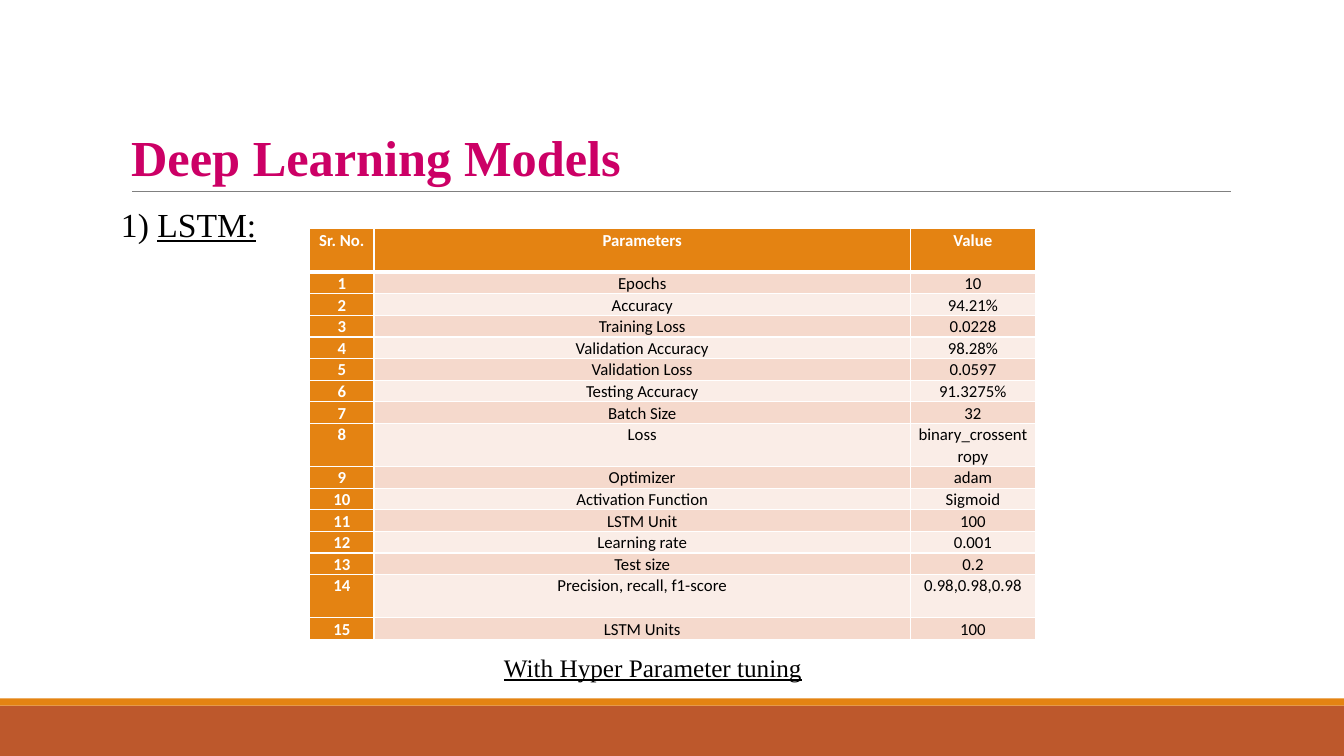
import pptx
import pptx.util
import pptx.dml.color
import pptx.enum.shapes
import pptx.enum.text
import pptx.oxml
import pptx.oxml.ns
from pptx.util import Inches

ORANGE, RUST, PINK = "E48312", "BD582C", "CC0066"
BLACK, WHITE, GREY = "000000", "FFFFFF", "808080"
BANDS = ["F5D9CC", "FAEDE7"]
SERIF, SANS = "Times New Roman", "Calibri"

HEADER = ("Sr. No.", "Parameters", "Value")
PARAMETERS = [
    ("Epochs", "10"),
    ("Accuracy", "94.21%"),
    ("Training Loss", "0.0228"),
    ("Validation Accuracy", "98.28%"),
    ("Validation Loss", "0.0597"),
    ("Testing Accuracy", "91.3275%"),
    ("Batch Size", "32"),
    ("Loss", "binary_crossentropy"),
    ("Optimizer", "adam"),
    ("Activation Function", "Sigmoid"),
    ("LSTM Unit", "100"),
    ("Learning rate", "0.001"),
    ("Test size", "0.2"),
    ("Precision, recall, f1-score", "0.98,0.98,0.98"),
    ("LSTM Units", "100"),
]
COLUMN_WIDTHS = (0.64, 5.32, 1.24)
ROW_HEIGHT, TALL_ROW_HEIGHT = 0.21, 0.43
TALL_ROWS = {0, 8, 14}


def rgb(value):
    return pptx.dml.color.RGBColor.from_string(value)


class Deck:
    def __init__(self):
        self.prs = pptx.Presentation()
        self.prs.slide_width, self.prs.slide_height = Inches(13.33), Inches(7.5)
        self.s = self.prs.slides.add_slide(self.prs.slide_layouts[5])

    def font(self, p, size, name, color, bold=False):
        f = p.font
        f.size, f.name, f.bold = pptx.util.Pt(size), name, bold
        f.color.rgb = rgb(color)

    def bar(self, y, h, color):
        sp = self.s.shapes.add_shape(pptx.enum.shapes.MSO_SHAPE.RECTANGLE,
                                     0, Inches(y), self.prs.slide_width, Inches(h))
        sp.shadow.inherit = False
        sp.fill.solid()
        sp.fill.fore_color.rgb = rgb(color)
        sp.line.fill.background()

    def rule(self, x1, x2, y, color):
        line = self.s.shapes.add_connector(pptx.enum.shapes.MSO_CONNECTOR.STRAIGHT,
                                           Inches(x1), Inches(y), Inches(x2), Inches(y))
        line.line.color.rgb = rgb(color)
        line.line.width = pptx.util.Pt(0.5)
        pptx.oxml.ns.qn("a:effectLst")
        line._element.spPr.append(pptx.oxml.parse_xml(
            f'<a:effectLst {pptx.oxml.ns.nsdecls("a")}/>'))

    def title(self, text, x, y, w, h):
        sp = self.s.shapes.title
        sp.left, sp.top, sp.width, sp.height = map(Inches, (x, y, w, h))
        tf = sp.text_frame
        tf.text = text
        tf.vertical_anchor = pptx.enum.text.MSO_ANCHOR.BOTTOM
        tf.auto_size = pptx.enum.text.MSO_AUTO_SIZE.NONE
        p = tf.paragraphs[0]
        p.alignment = pptx.enum.text.PP_ALIGN.LEFT
        p.line_spacing = 0.85
        self.font(p, 36, SERIF, PINK, bold=True)

    def text(self, runs, x, y, w, h, size, inset=0.1, spacing=1.0, wrap=True):
        tf = self.s.shapes.add_textbox(*map(Inches, (x, y, w, h))).text_frame
        tf.word_wrap = wrap
        tf.margin_left = tf.margin_right = Inches(inset)
        p = tf.paragraphs[0]
        p.line_spacing = spacing
        self.font(p, size, SERIF, BLACK)
        for content, underline in runs:
            r = p.add_run()
            r.text = content
            r.font.underline = underline

    def borders(self, cell, bottom):
        tcPr = cell._tc.get_or_add_tcPr()
        for side, width in (("L", 1), ("R", 1), ("T", 1), ("B", bottom)):
            tcPr.append(pptx.oxml.parse_xml(
                f'<a:ln{side} {pptx.oxml.ns.nsdecls("a")} w="{pptx.util.Pt(width)}">'
                f'<a:solidFill><a:srgbClr val="{WHITE}"/></a:solidFill></a:ln{side}>'))

    def cell(self, cell, text, fill, color, bold, bottom):
        self.borders(cell, bottom)
        cell.fill.solid()
        cell.fill.fore_color.rgb = rgb(fill)
        cell.margin_left = cell.margin_right = Inches(0.07)
        cell.margin_top = cell.margin_bottom = 0
        cell.text = text
        p = cell.text_frame.paragraphs[0]
        p.alignment = pptx.enum.text.PP_ALIGN.CENTER
        p.line_spacing = 1.07
        p.space_after = pptx.util.Pt(8)
        self.font(p, 12, SANS, color, bold)

    def table(self, rows, x, y):
        heights = [TALL_ROW_HEIGHT if i in TALL_ROWS else ROW_HEIGHT
                   for i in range(len(rows))]
        table = self.s.shapes.add_table(
            len(rows), len(COLUMN_WIDTHS), Inches(x), Inches(y),
            Inches(sum(COLUMN_WIDTHS)), Inches(sum(heights))).table
        for column, width in zip(table.columns, COLUMN_WIDTHS):
            column.width = Inches(width)
        for i, row in enumerate(rows):
            table.rows[i].height = Inches(heights[i])
            for j, text in enumerate(row):
                heading = i == 0 or j == 0
                self.cell(table.cell(i, j), text,
                          fill=ORANGE if heading else BANDS[(i - 1) % 2],
                          color=WHITE if heading else BLACK,
                          bold=heading, bottom=3 if i == 0 else 1)


def main():
    deck = Deck()

    # Footer bars and title rule
    deck.bar(7, 0.5, RUST)
    deck.bar(6.93, 0.07, ORANGE)
    deck.rule(1.31, 12.21, 1.9, GREY)

    # Title and model heading
    deck.title("Deep Learning Models", 1.2, 0.31, 11, 1.59)
    deck.text([("1) ", False), ("LSTM:", True)], 1.2, 2.02, 11, 4.4,
              size=24, inset=0, spacing=0.9)

    # Hyperparameter table with its caption
    numbered = [(str(n), *pair) for n, pair in enumerate(PARAMETERS, 1)]
    deck.table([HEADER] + numbered, 3.07, 2.27)
    deck.text([("With Hyper Parameter tuning", True)], 4.9, 6.42, 3.19, 0.4,
              size=18, wrap=False)

    deck.prs.save("out.pptx")


if __name__ == "__main__":
    main()
